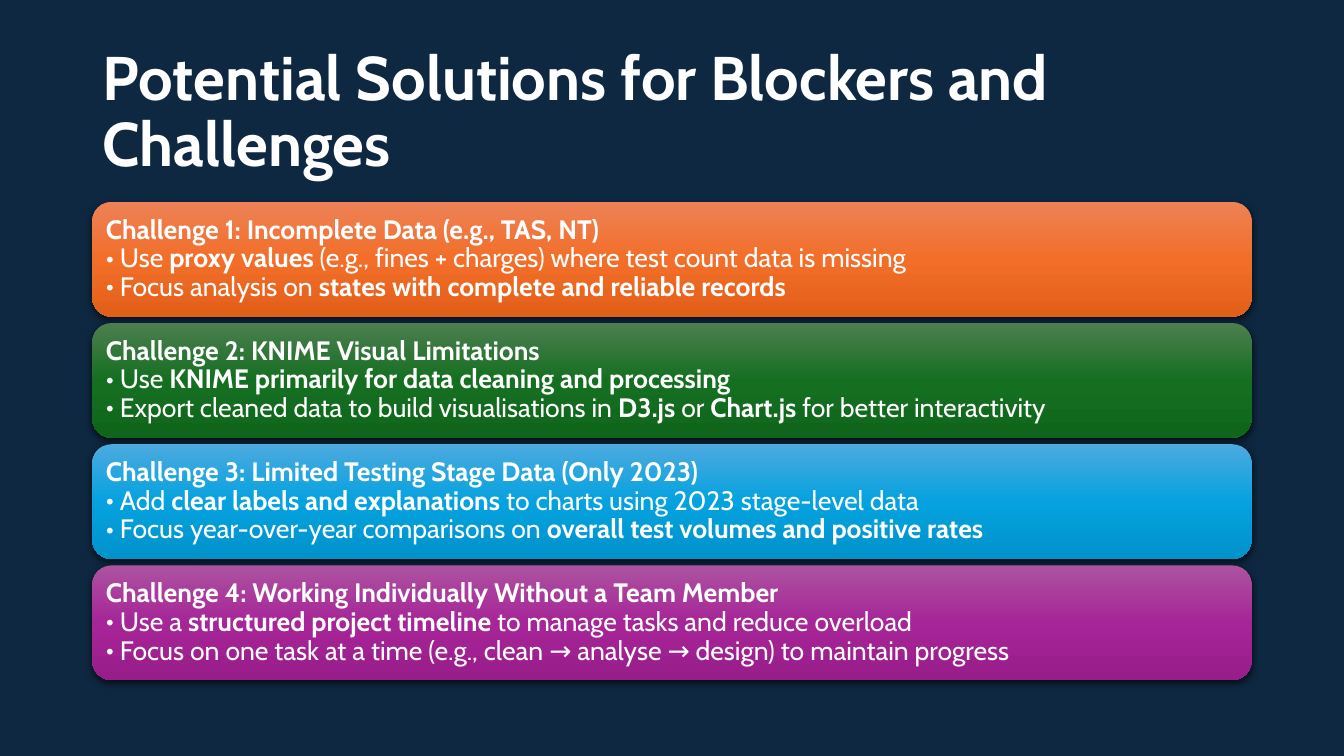
from copy import deepcopy
from dataclasses import dataclass

from lxml import etree
from pptx import Presentation
from pptx.dml.color import RGBColor
from pptx.enum.shapes import MSO_SHAPE
from pptx.enum.text import MSO_ANCHOR, PP_ALIGN
from pptx.oxml.ns import qn
from pptx.util import Pt

ROUNDED = MSO_SHAPE.ROUNDED_RECTANGLE
MIDDLE = MSO_ANCHOR.MIDDLE
LEFT = PP_ALIGN.LEFT


@dataclass(frozen=True)
class Theme:
    font: str = "Cabin"
    background: str = "0E2841"
    text: str = "FFFFFF"
    shadow: str = "000000"
    title_size: float = 44
    body_size: float = 19
    line_spacing: float = 0.9
    # Top, middle and bottom colour of each card
    cards: tuple = (
        ("ED8257", "F26E29", "E25F1A"),
        ("4D7E50", "156F21", "0F661B"),
        ("4CAADF", "05A2DF", "0092CB"),
        ("AC53A0", "A62598", "991C8B"),
    )


THEME = Theme()

TITLE = "Potential Solutions for Blockers and Challenges"

# Heading and bullets of each card; ** marks the bold words
CHALLENGES = (
    ("Challenge 1: Incomplete Data (e.g., TAS, NT)",
     "Use **proxy values** (e.g., fines + charges) where test count data is missing",
     "Focus analysis on **states with complete and reliable records**"),
    ("Challenge 2: KNIME Visual Limitations",
     "Use **KNIME primarily for data cleaning and processing**",
     "Export cleaned data to build visualisations in **D3.js** or **Chart.js** "
     "for better interactivity"),
    ("Challenge 3: Limited Testing Stage Data (Only 2023)",
     "Add **clear labels and explanations** to charts using 2023 stage-level data",
     "Focus year-over-year comparisons on **overall test volumes and positive rates**"),
    ("Challenge 4: Working Individually Without a Team Member",
     "Use a **structured project timeline** to manage tasks and reduce overload",
     "Focus on one task at a time (e.g., clean → analyse → design) to maintain progress"),
)


def write(para, text, *, size, bold=False, bullet_indent=0):
    """Fill a paragraph, switching weight at each ** mark."""
    para.alignment = LEFT
    para.line_spacing = THEME.line_spacing
    if bullet_indent:
        properties = para._p.get_or_add_pPr()
        properties.set("marL", str(Pt(bullet_indent)))
        properties.set("indent", str(-Pt(bullet_indent)))
        etree.SubElement(properties, qn("a:buFont"), typeface=THEME.font)
        etree.SubElement(properties, qn("a:buChar"), char="•")
    for index, words in enumerate(text.split("**")):
        if words:
            span = para.add_run()
            span.text = words
            span.font.name = THEME.font
            span.font.size = Pt(size)
            span.font.bold = bold or index % 2 == 1
            span.font.color.rgb = RGBColor.from_string(THEME.text)


def fill_gradient(shape, colours):
    """Fill from top to bottom with three evenly spaced colours."""
    shape.fill.gradient()
    shape.fill.gradient_angle = 270
    stop_list = shape.element.find(".//" + qn("a:gsLst"))
    stop_list.append(deepcopy(stop_list[-1]))
    for index, (stop, colour) in enumerate(zip(shape.fill.gradient_stops, colours)):
        stop.position = index / 2
        stop.color.rgb = RGBColor.from_string(colour)


def add_shadow(shape):
    """Cast a soft shadow straight down."""
    shape.shadow.inherit = False
    effects = shape.element.spPr.find(qn("a:effectLst"))
    shadow = etree.SubElement(effects, qn("a:outerShdw"), blurRad=str(Pt(4.5)),
                              dist=str(Pt(1.5)), dir="5400000", rotWithShape="0")
    colour = etree.SubElement(shadow, qn("a:srgbClr"), val=THEME.shadow)
    etree.SubElement(colour, qn("a:alpha"), val="63000")


def add_title(page, left, top, width, height):
    box = page.shapes.add_textbox(Pt(left), Pt(top), Pt(width), Pt(height))
    frame = box.text_frame
    frame.word_wrap = True
    frame.vertical_anchor = MIDDLE
    para = frame.paragraphs[0]
    write(para, TITLE, size=THEME.title_size, bold=True)
    para.space_after = Pt(6)


def add_card(page, left, top, width, height, lines, colours):
    card = page.shapes.add_shape(ROUNDED, Pt(left), Pt(top), Pt(width), Pt(height))
    fill_gradient(card, colours)
    card.line.fill.background()
    add_shadow(card)
    frame = card.text_frame
    frame.word_wrap = True
    frame.vertical_anchor = MIDDLE
    frame.margin_left = frame.margin_right = Pt(5.7)
    frame.margin_top = frame.margin_bottom = Pt(5.7)
    heading, *bullets = lines
    write(frame.paragraphs[0], heading, size=THEME.body_size, bold=True)
    for bullet in bullets:
        write(frame.add_paragraph(), bullet, size=THEME.body_size, bullet_indent=10)


def add_card_stack(page, left, top, width, height, gap=4.6):
    """Share the height equally among the cards."""
    count = len(CHALLENGES)
    card_height = (height - gap * (count - 1)) / count
    for index, (lines, colours) in enumerate(zip(CHALLENGES, THEME.cards)):
        card_top = top + index * (card_height + gap)
        add_card(page, left, card_top, width, card_height, lines, colours)


def main():
    deck = Presentation()
    deck.slide_width, deck.slide_height = Pt(960), Pt(540)
    page = deck.slides.add_slide(deck.slide_layouts[6])
    page.background.fill.solid()
    page.background.fill.fore_color.rgb = RGBColor.from_string(THEME.background)
    add_title(page, 66, 28.75, 828, 104.4)
    add_card_stack(page, 66, 144.2, 828, 341.6)
    deck.save("out.pptx")


if __name__ == "__main__":
    main()
